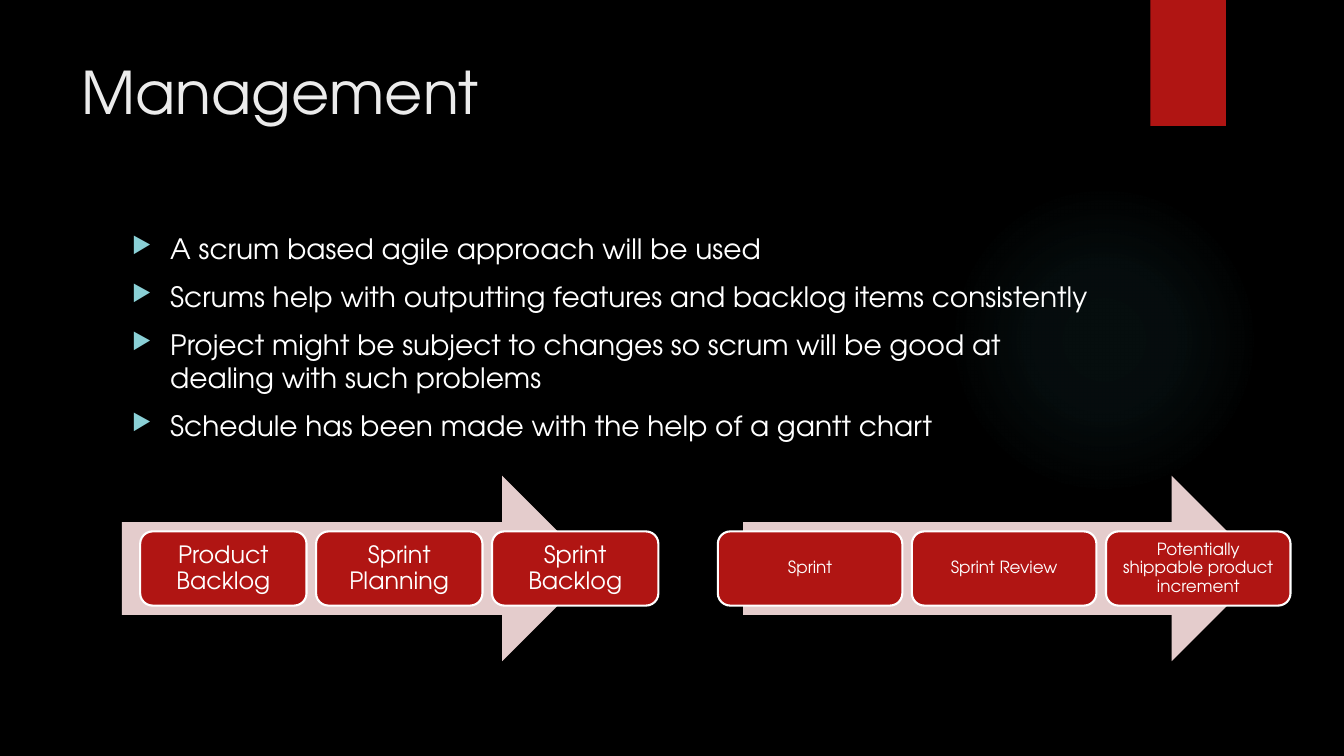
from lxml.etree import SubElement
from pptx import Presentation
from pptx.dml.color import RGBColor
from pptx.enum.shapes import MSO_SHAPE
from pptx.enum.text import MSO_ANCHOR, PP_ALIGN
from pptx.oxml import parse_xml
from pptx.oxml.ns import qn
from pptx.util import Inches, Pt

WIDE, HIGH = 13.33, 7.5
FONT = "TeX Gyre Adventor"
COLORS = {"back": "000000", "glow": "50B9C1", "red": "B01513", "title": "EBEBEB",
          "white": "FFFFFF", "bullet": "8AD0D6", "arrow": "E4CCCC"}
POINTS = ["A scrum based agile approach will be used",
          "Scrums help with outputting features and backlog items consistently",
          "Project might be subject to changes so scrum will be good at "
          "dealing with such problems",
          "Schedule has been made with the help of a gantt chart"]
PLAN = ["Product Backlog", "Sprint Planning", "Sprint Backlog"]
WORK = ["Sprint", "Sprint Review", "Potentially shippable product increment"]


def color(name):
    return RGBColor.from_string(COLORS[name])


def add_part(slide, kind, box, fill):
    part = slide.shapes.add_shape(kind, *map(Inches, box))
    part.shadow.inherit = False
    part.fill.solid()
    part.fill.fore_color.rgb = color(fill)
    part.line.fill.background()
    return part


def set_fonts(frame, size, name):
    for para in frame.paragraphs:
        for run in para.runs:
            run.font.name = FONT
            run.font.size = Pt(size)
            run.font.color.rgb = color(name)


def add_text(slide, box, lines, size, name):
    frame = slide.shapes.add_textbox(*map(Inches, box)).text_frame
    frame.word_wrap = True
    frame.text = "\n".join(lines)
    set_fonts(frame, size, name)
    return frame


def add_glow(slide, box):
    """Soft round light that fades to its rim."""
    glow = add_part(slide, MSO_SHAPE.OVAL, box, "glow")
    stops = "".join(
        f'<a:gs pos="{pos}000"><a:srgbClr val="{COLORS["glow"]}">'
        f'<a:alpha val="{alpha}000"/></a:srgbClr></a:gs>'
        for pos, alpha in [(0, 7), (36, 6), (69, 0), (100, 0)])
    grad = parse_xml(
        '<a:gradFill xmlns:a="http://schemas.openxmlformats.org/drawingml/2006/main">'
        f'<a:gsLst>{stops}</a:gsLst><a:path path="circle">'
        '<a:fillToRect l="50000" t="50000" r="50000" b="50000"/></a:path></a:gradFill>')
    props = glow.element.spPr
    props.replace(props.find(qn("a:solidFill")), grad)


def add_points(slide, box, lines):
    """Bulleted list with a hanging indent."""
    frame = add_text(slide, box, lines, 20, "white")
    for para in frame.paragraphs:
        para.space_before = Pt(10)
        props = para._p.get_or_add_pPr()
        props.set("marL", str(Inches(0.38)))
        props.set("indent", str(-Inches(0.38)))
        tint = SubElement(props, qn("a:buClr"))
        SubElement(tint, qn("a:srgbClr"), val=COLORS["bullet"])
        SubElement(props, qn("a:buSzPct"), val="80000")
        SubElement(props, qn("a:buChar"), char="▶")


def add_flow(slide, box, start, width, steps, size, inset):
    """Wide arrow with a row of step cards across its middle."""
    left, top, wide, high = box
    add_part(slide, MSO_SHAPE.RIGHT_ARROW, box, "arrow")
    pitch = width + 0.095
    tall = high * 0.4
    for i, step in enumerate(steps):
        place = (start + i * pitch, top + high * 0.3, width, tall)
        card = add_part(slide, MSO_SHAPE.ROUNDED_RECTANGLE, place, "red")
        card.line.color.rgb = color("white")
        card.line.width = Pt(1.5)
        frame = card.text_frame
        frame.word_wrap = True
        frame.vertical_anchor = MSO_ANCHOR.MIDDLE
        frame.margin_left = frame.margin_right = Inches(inset)
        frame.margin_top = frame.margin_bottom = Inches(inset)
        frame.text = step
        para = frame.paragraphs[0]
        para.alignment = PP_ALIGN.CENTER
        para.line_spacing = 0.9
        set_fonts(frame, size, "white")


def main():
    deck = Presentation()
    deck.slide_width, deck.slide_height = Inches(WIDE), Inches(HIGH)
    slide = deck.slides.add_slide(deck.slide_layouts[6])
    slide.background.fill.solid()
    slide.background.fill.fore_color.rgb = color("back")

    # Backdrop and ribbon
    add_glow(slide, (9.41, 1.83, 3.08, 3.08))
    add_part(slide, MSO_SHAPE.RECTANGLE, (11.41, 0, 0.75, HIGH / 6), "red")

    # Title and list
    add_text(slide, (0.71, 0.5, 10.29, 1.53), ["Management"], 42, "title")
    add_points(slide, (1.21, 2.25, 9.78, 4.59), POINTS)

    # Two stages of the scrum
    add_flow(slide, (1.21, 4.72, 4.69, 1.84), 1.39, 1.65, PLAN, 17, 0.07)
    add_flow(slide, (7.37, 4.72, 5.17, 1.84), 7.12, 1.83, WORK, 12, 0.05)
    deck.save("out.pptx")


if __name__ == "__main__":
    main()
